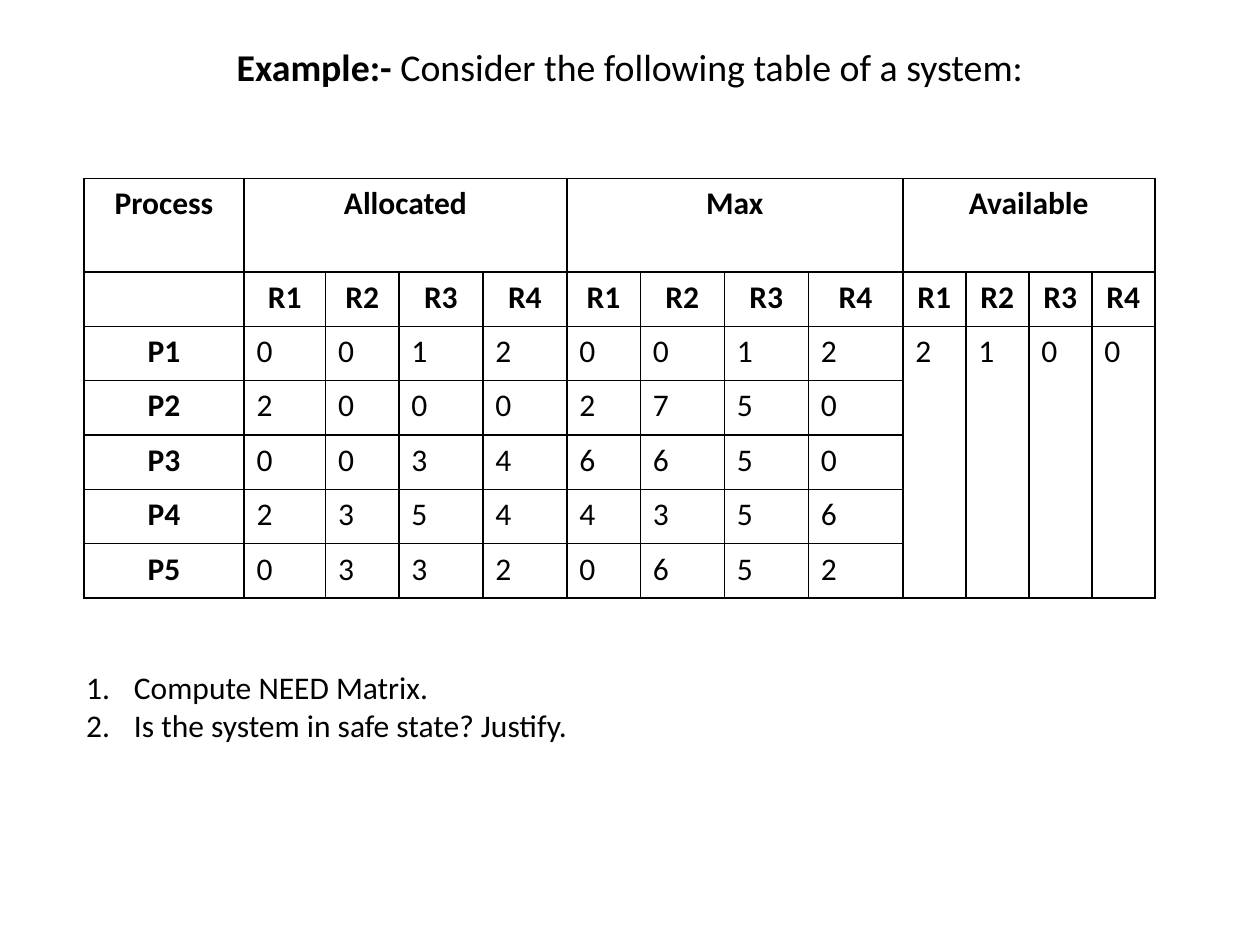
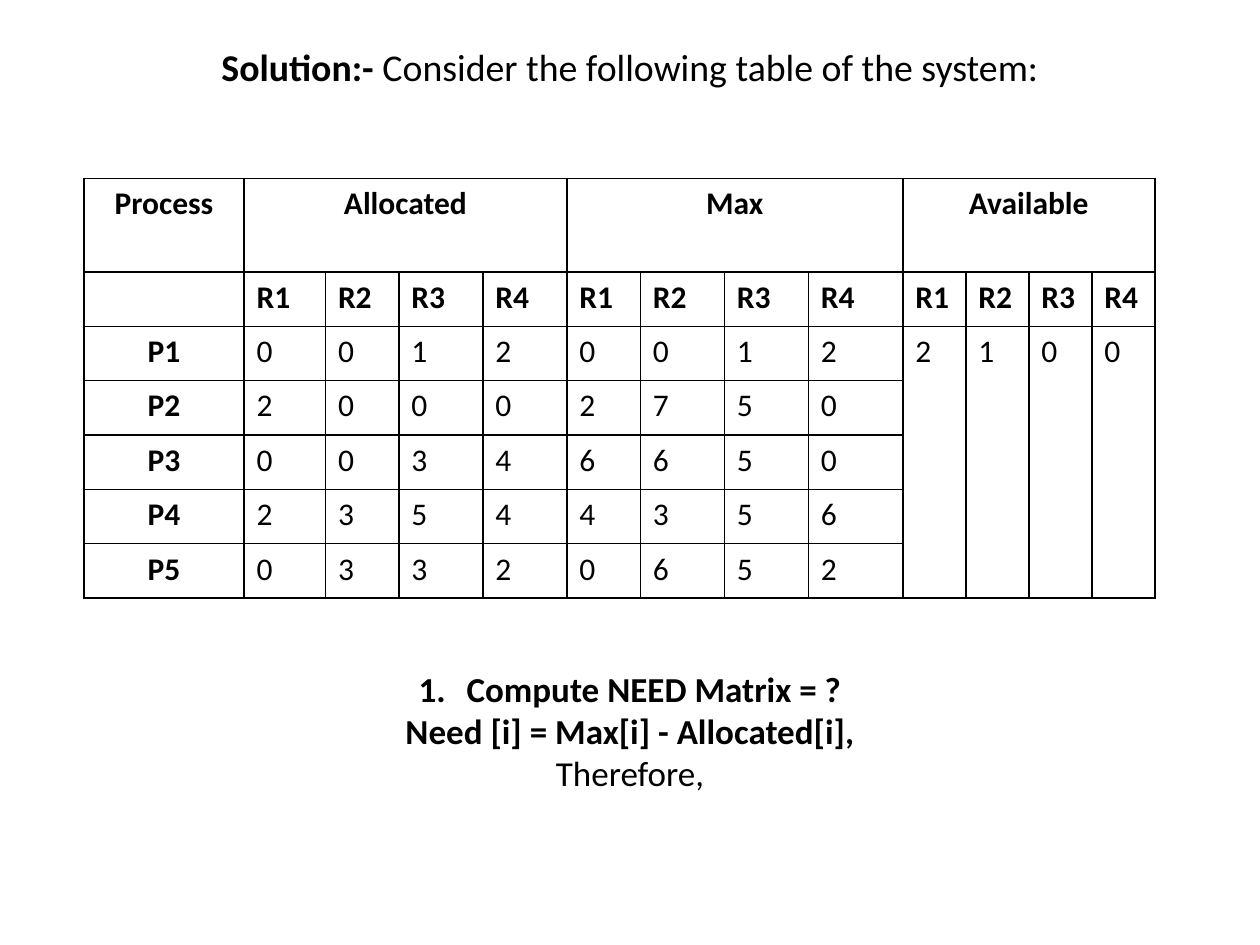
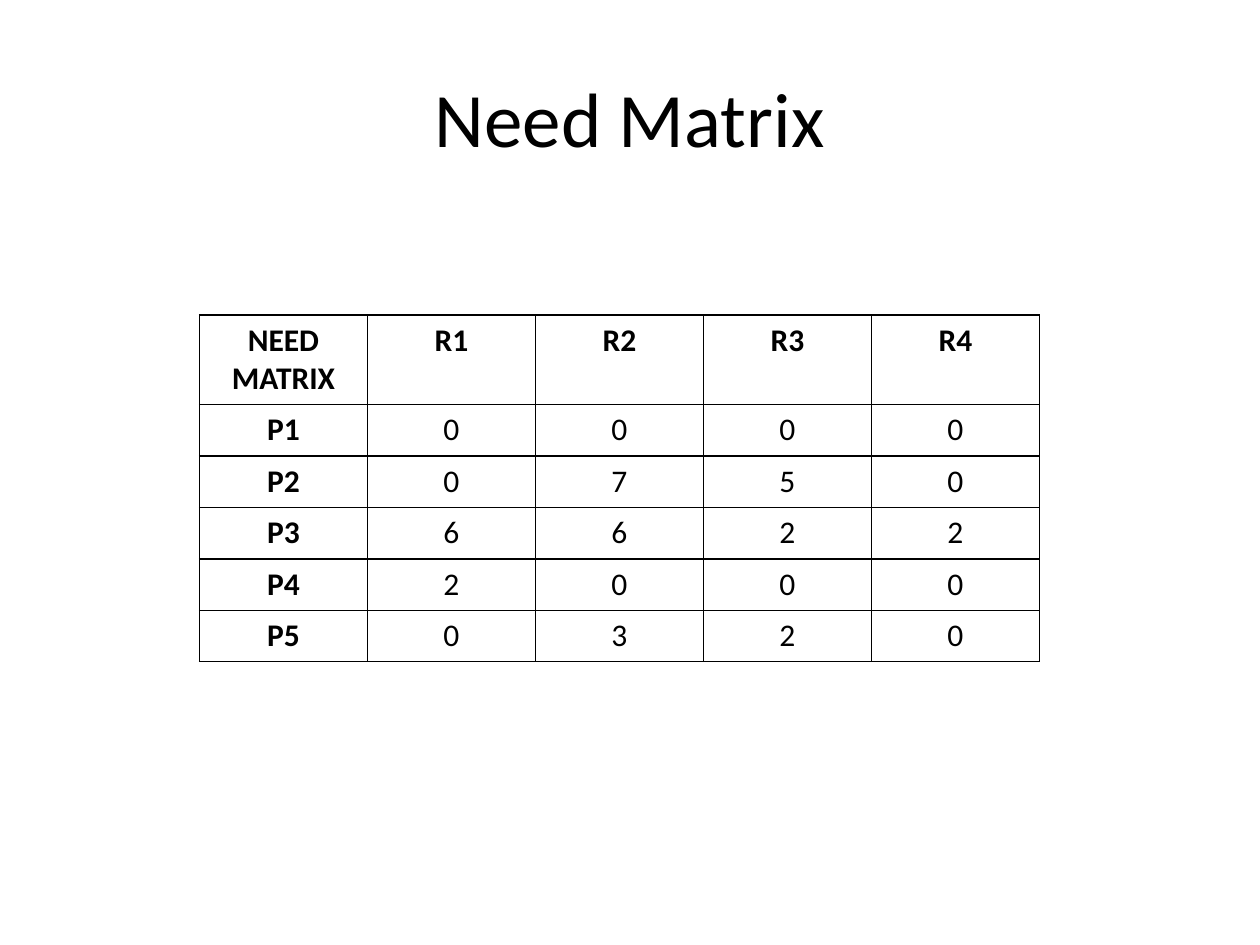
from pptx import Presentation
from pptx.dml.color import RGBColor
from pptx.enum.text import MSO_ANCHOR, MSO_AUTO_SIZE, PP_ALIGN
from pptx.oxml.xmlchemy import OxmlElement
from pptx.util import Inches, Pt

BLACK = RGBColor(0x00, 0x00, 0x00)
WHITE = RGBColor(0xFF, 0xFF, 0xFF)
FONT = "Calibri"

# Allocated and Max for each process
RESOURCES = ["R1", "R2", "R3", "R4"]
ALLOCATED = [[0, 0, 1, 2], [2, 0, 0, 0], [0, 0, 3, 4], [2, 3, 5, 4], [0, 3, 3, 2]]
MAXIMUM = [[0, 0, 1, 2], [2, 7, 5, 0], [6, 6, 5, 0], [4, 3, 5, 6], [0, 6, 5, 2]]
AVAILABLE = [2, 1, 0, 0]
NEED = [[0, 0, 0, 0], [0, 7, 5, 0], [6, 6, 2, 2], [2, 0, 0, 0], [0, 3, 2, 0]]
PROCESSES = ["P1", "P2", "P3", "P4", "P5"]


class Deck:
    """Style and current slide; lengths are cells of a 120 x 90 grid."""

    def __init__(self):
        self.prs = Presentation()
        self.prs.slide_width, self.prs.slide_height = Inches(10), Inches(7.5)
        self.cell = self.prs.slide_width / 120
        self.slide = None

    def units(self, *lengths):
        return [round(length * self.cell) for length in lengths]

    def place(self, shape, *box):
        shape.left, shape.top, shape.width, shape.height = self.units(*box)

    def style(self, paragraph, size, bold=None, align=PP_ALIGN.CENTER):
        paragraph.alignment = align
        font = paragraph.font
        font.name, font.size, font.bold = FONT, Pt(size), bold
        font.color.rgb = BLACK

    def new_slide(self, with_body=True):
        layout = self.prs.slide_layouts[1 if with_body else 5]
        self.slide = self.prs.slides.add_slide(layout)

    def title(self, text, lead="", size=44, height=15, bottom_inset=0.6):
        heading = self.slide.shapes.title
        self.place(heading, 6, 3.6, 108, height)
        frame = heading.text_frame
        frame.auto_size = MSO_AUTO_SIZE.NONE
        frame.vertical_anchor = MSO_ANCHOR.MIDDLE
        frame.margin_bottom = self.units(bottom_inset)[0]
        paragraph = frame.paragraphs[0]
        self.style(paragraph, size)
        if lead:
            paragraph.add_run().text = lead
            paragraph.runs[0].font.bold = True
        paragraph.add_run().text = text

    def steps(self, lines, height, size, align):
        """Each line is (text, numbered, bold)."""
        body = self.slide.placeholders[1]
        self.place(body, 7, 63, 106, height)
        frame = body.text_frame
        frame.auto_size = MSO_AUTO_SIZE.SHAPE_TO_FIT_TEXT
        for index, (text, numbered, bold) in enumerate(lines):
            paragraph = frame.paragraphs[0] if index == 0 else frame.add_paragraph()
            paragraph.text = text
            paragraph.space_before = Pt(0)
            props = paragraph._p.get_or_add_pPr()
            props.set("marL", str(Inches(0.38)))
            props.set("indent", str(-Inches(0.38)))
            bullet = OxmlElement("a:buAutoNum" if numbered else "a:buNone")
            if numbered:
                bullet.set("type", "arabicPeriod")
            props.append(bullet)
            self.style(paragraph, size, bold, align)

    def borders(self, cell):
        props = cell._tc.get_or_add_tcPr()
        for side in ("lnL", "lnR", "lnT", "lnB"):
            line = OxmlElement(f"a:{side}")
            line.set("w", str(Pt(1)))
            fill = OxmlElement("a:solidFill")
            colour = OxmlElement("a:srgbClr")
            colour.set("val", str(BLACK))
            fill.append(colour)
            line.append(fill)
            props.append(line)

    def table(self, rows, left, top, widths, heights, header_rows, left_from, spans=()):
        """Cells beside the first column align left from row left_from on."""
        box = self.units(left, top, sum(widths), sum(heights))
        table = self.slide.shapes.add_table(len(rows), len(widths), *box).table
        table.first_row = table.horz_banding = False
        for column, width in zip(table.columns, self.units(*widths)):
            column.width = width
        for row, height in zip(table.rows, self.units(*heights)):
            row.height = height
        for r, values in enumerate(rows):
            for c, value in enumerate(values):
                cell = table.cell(r, c)
                cell.text = str(value)
                bold = r < header_rows or c == 0
                centred = c == 0 or r < left_from
                self.style(cell.text_frame.paragraphs[0], 18, bold,
                           PP_ALIGN.CENTER if centred else PP_ALIGN.LEFT)
                self.borders(cell)
                cell.fill.solid()
                cell.fill.fore_color.rgb = WHITE
        for (first_row, first_col), (last_row, last_col) in spans:
            table.cell(first_row, first_col).merge(table.cell(last_row, last_col))

    def system_table(self, left_from):
        gap = [""] * 3
        rows = [["Process", "Allocated", *gap, "Max", *gap, "Available", *gap],
                ["", *RESOURCES * 3]]
        for i, process in enumerate(PROCESSES):
            available = AVAILABLE if i == 0 else [""] * 4
            rows.append([process, *ALLOCATED[i], *MAXIMUM[i], *available])
        groups = [((0, c), (0, c + 3)) for c in (1, 5, 9)]
        free = [((2, c), (6, c)) for c in range(9, 13)]
        self.table(rows, 8, 17, [15.25, 7.75, 7, 8, 8, 7, 8, 8, 9] + [6] * 4,
                   [8.9] + [5.18] * 6, 2, left_from, groups + free)


def main():
    deck = Deck()
    small_title = dict(size=21.6, height=9.4, bottom_inset=4.6)

    # Example: the system and the questions
    deck.new_slide()
    deck.title("Consider the following table of a system:", "Example:- ", **small_title)
    deck.system_table(left_from=2)
    deck.steps([("Compute NEED Matrix.", True, False),
                ("Is the system in safe state? Justify.", True, False)],
               8.5, 18, PP_ALIGN.LEFT)

    # Solution: the rule for the need matrix
    deck.new_slide()
    deck.title("Consider the following table of the system:", "Solution:- ", **small_title)
    deck.system_table(left_from=1)
    deck.steps([("Compute NEED Matrix = ?", True, True),
                ("Need [i] = Max[i] - Allocated[i],", False, True),
                ("Therefore,", False, False)],
               13.3, 20, PP_ALIGN.CENTER)

    # Result: the need matrix
    deck.new_slide(with_body=False)
    deck.title("Need Matrix")
    need_rows = [["NEED MATRIX", *RESOURCES]]
    need_rows += [[process, *need] for process, need in zip(PROCESSES, NEED)]
    deck.table(need_rows, 19, 30, [16] * 5, [8.3] + [4.9] * 5, 1, len(need_rows))

    deck.prs.save("out.pptx")


if __name__ == "__main__":
    main()
